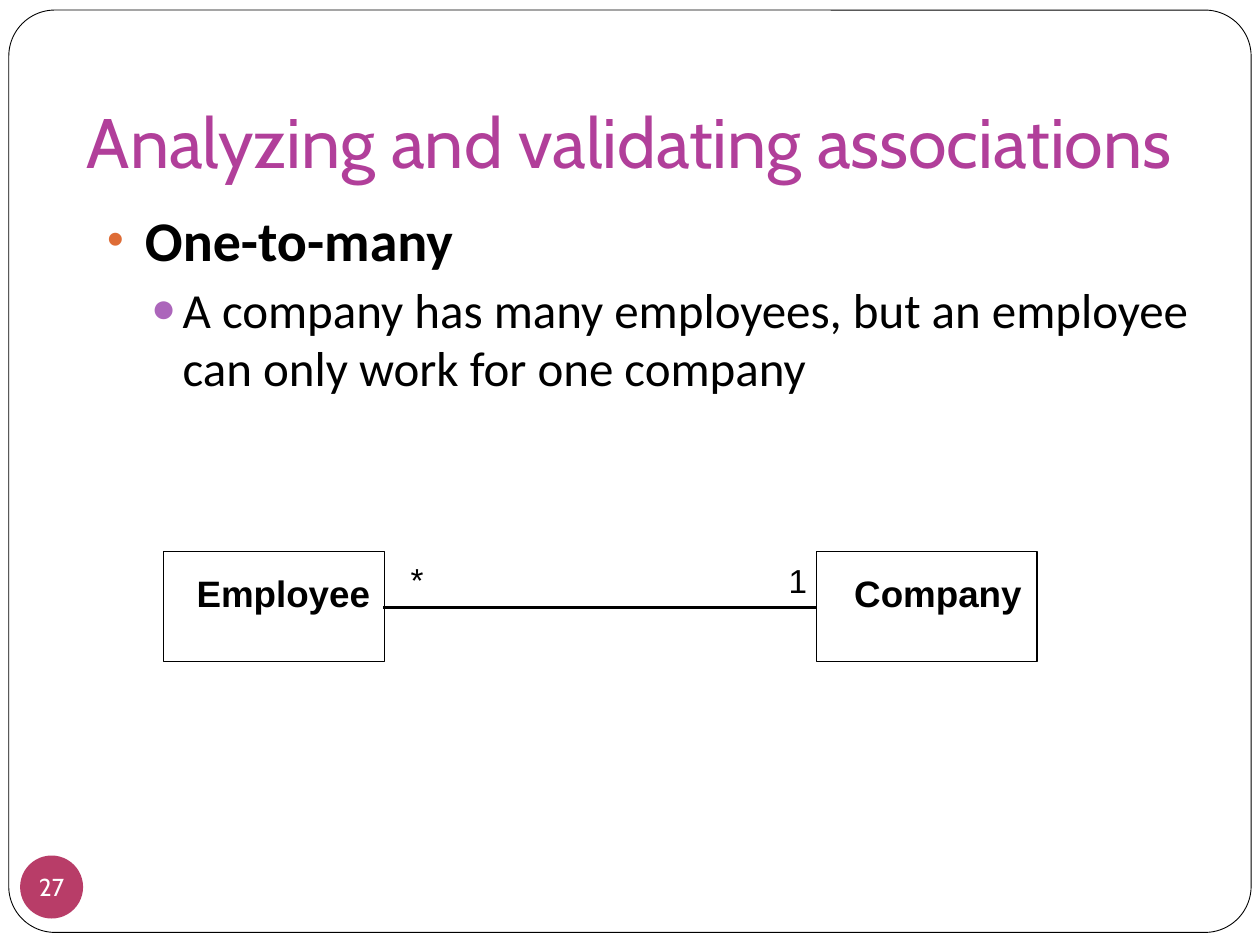
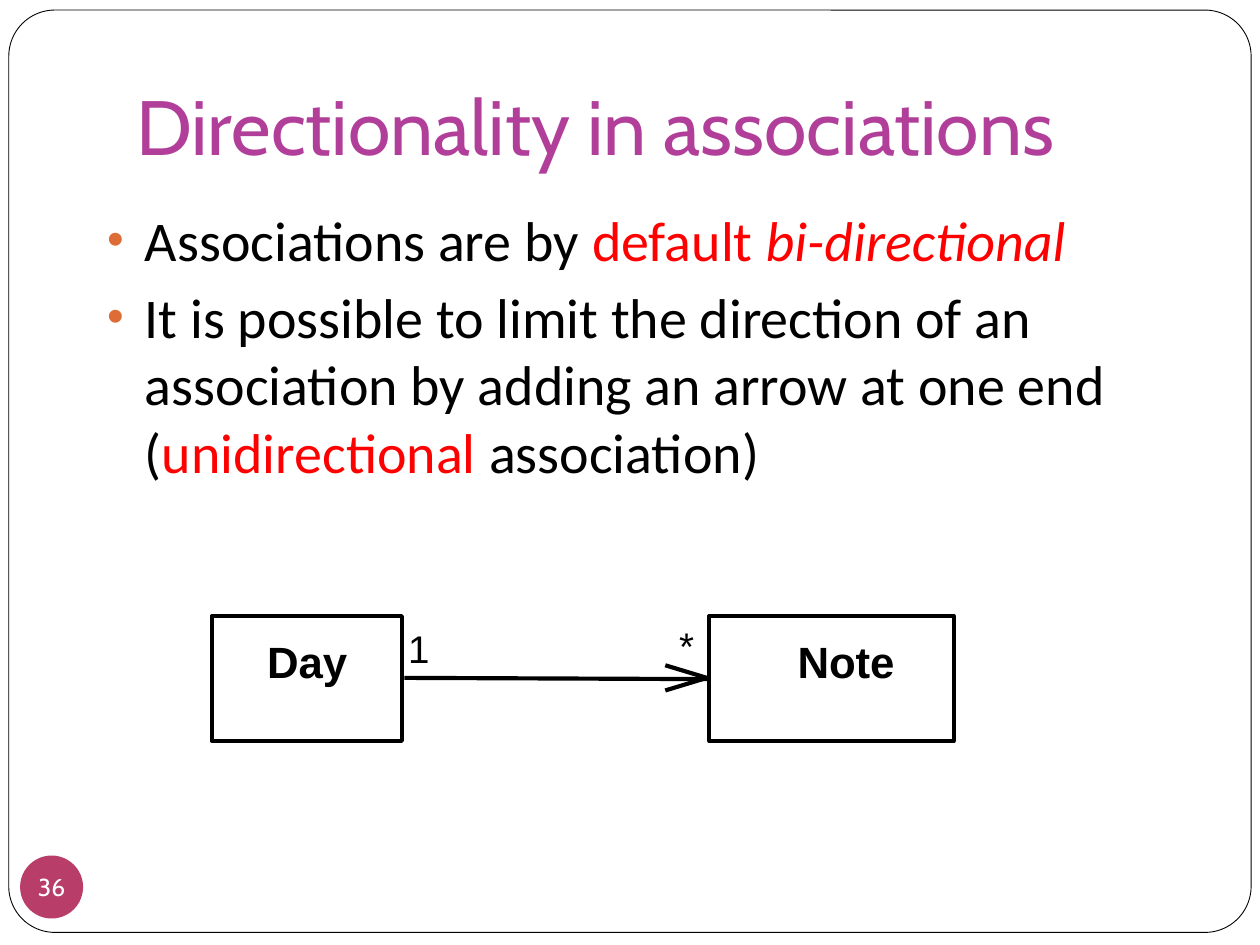
from dataclasses import dataclass
from typing import NamedTuple

from lxml import etree
from pptx import Presentation
from pptx import util as u
from pptx.dml.color import RGBColor
from pptx.enum import shapes, text
from pptx.oxml.ns import qn

PX = 9144  # one px is a hundredth of an inch

COLORS = {
    "paper": "FFFFFF",
    "ink": "000000",
    "title": "B13F9A",
    "badge": "B83D68",
    "point": "DE6C36",
    "subpoint": "AC66BB",
    "stress": "FF0000",
}
HEADING_FONT, BODY_FONT, DIAGRAM_FONT = "Cabin", "Calibri", "Arial"


class Area(NamedTuple):
    left: int
    top: int
    width: int
    height: int


class Level(NamedTuple):
    bullet: str
    color: str
    left: int
    hang: int
    size: int
    before: float


LEVELS = (
    Level("•", "point", 30, 30, 32, 5.8),
    Level("●", "subpoint", 60, 25, 28, 3.7),
)

FRAME = Area(7, 8, 986, 732)
BADGE = Area(16, 679, 50, 50)
BODY = Area(75, 158, 906, 571)


class Span(NamedTuple):
    words: str
    color: str = "ink"
    italic: bool = False


class Item(NamedTuple):
    spans: tuple[Span, ...]
    level: int = 0
    bold: bool = False


class Label(NamedTuple):
    words: str
    area: Area


class ClassBox(NamedTuple):
    outline: Area
    name: Label


class Stroke(NamedTuple):
    start: tuple[int, int]
    end: tuple[int, int]


@dataclass(frozen=True)
class Diagram:
    line_width: float
    name_size: int
    count_size: int
    boxes: tuple[ClassBox, ...]
    counts: tuple[Label, ...]
    strokes: tuple[Stroke, ...]


@dataclass(frozen=True)
class Page:
    number: int
    title: str
    title_area: Area
    title_size: int
    items: tuple[Item, ...]
    diagram: Diagram


PAGES = (
    Page(
        27, "Analyzing and validating associations", Area(59, 28, 891, 127), 40,
        (
            Item((Span("One-to-many"),), bold=True),
            Item((Span("A company has many employees, but an employee "
                       "can only work for one company"),), level=1),
        ),
        Diagram(
            0, 21, 19,
            (
                ClassBox(Area(130, 438, 175, 87), Label("Employee", Area(156, 453, 138, 35))),
                ClassBox(Area(648, 438, 175, 87), Label("Company", Area(678, 453, 133, 35))),
            ),
            (Label("*", Area(326, 444, 10, 32)), Label("1", Area(626, 445, 15, 32))),
            (Stroke((304, 482), (648, 482)),),
        ),
    ),
    Page(
        36, "Directionality in associations", Area(98, 21, 850, 125), 44,
        (
            Item((Span("Associations are by "), Span("default ", "stress"),
                  Span("bi-directional", "stress", True))),
            Item((Span("It is possible to limit the direction of an association "
                       "by adding an arrow at one end ("),
                  Span("unidirectional", "stress"), Span(" association)"))),
        ),
        Diagram(
            2.38, 25, 22,
            (
                ClassBox(Area(168, 489, 151, 99), Label("Day", Area(212, 504, 64, 42))),
                ClassBox(Area(563, 489, 194, 99), Label("Note", Area(633, 504, 77, 42))),
            ),
            (Label("1", Area(324, 496, 17, 37)), Label("*", Area(539, 494, 12, 37))),
            (
                Stroke((321, 538), (561, 539)),
                Stroke((528, 528), (561, 538)),
                Stroke((561, 538), (528, 548)),
            ),
        ),
    ),
)


def rgb(name: str) -> RGBColor:
    return RGBColor.from_string(COLORS[name])


def emu(area: Area) -> list[int]:
    return [length * PX for length in area]


def place(shape, area: Area) -> None:
    shape.left, shape.top, shape.width, shape.height = emu(area)


def set_font(font, name: str, size: int, color: str, bold: bool = False) -> None:
    font.name, font.size, font.bold = name, u.Pt(size), bold
    font.color.rgb = rgb(color)


def set_insets(frame, left: int, top: int, right: int, bottom: int) -> None:
    frame.margin_left, frame.margin_top = left * PX, top * PX
    frame.margin_right, frame.margin_bottom = right * PX, bottom * PX


def add_outline(slide, kind, area: Area, fill: str | None, line_width: float | None):
    """Add a preset shape; None means no fill or no line."""
    shape = slide.shapes.add_shape(kind, *emu(area))
    shape.shadow.inherit = False
    if fill is None:
        shape.fill.background()
    else:
        shape.fill.solid()
        shape.fill.fore_color.rgb = rgb(fill)
    if line_width is None:
        shape.line.fill.background()
    else:
        shape.line.color.rgb = rgb("ink")
        shape.line.width = u.Pt(line_width)
    return shape


def add_frame_and_badge(slide, number: int) -> None:
    frame = add_outline(slide, shapes.MSO_SHAPE.ROUNDED_RECTANGLE, FRAME, "paper", 0.5)
    frame.adjustments[0] = 0.05
    badge = add_outline(slide, shapes.MSO_SHAPE.OVAL, BADGE, "badge", None)
    words = badge.text_frame
    words.word_wrap = False
    words.vertical_anchor = text.MSO_ANCHOR.MIDDLE
    set_insets(words, 0, 0, 0, 0)
    para = words.paragraphs[0]
    para.text = str(number)
    para.alignment = text.PP_ALIGN.CENTER
    set_font(para.font, HEADING_FONT, 14, "paper")
    # Both lie behind the title and the list.
    tree = frame._element.getparent()
    for position, shape in enumerate((frame, badge), start=2):
        tree.insert(position, shape._element)


def fill_title(box, page: Page) -> None:
    place(box, page.title_area)
    words = box.text_frame
    words.auto_size = text.MSO_AUTO_SIZE.NONE
    words.vertical_anchor = text.MSO_ANCHOR.BOTTOM
    set_insets(words, 10, 5, 10, 10)
    para = words.paragraphs[0]
    para.text = page.title
    para.alignment = text.PP_ALIGN.LEFT
    set_font(para.font, HEADING_FONT, page.title_size, "title")


def set_bullet(para, level: Level) -> None:
    properties = para._p.get_or_add_pPr()
    properties.set("marL", str(level.left * PX))
    properties.set("indent", str(-level.hang * PX))
    color = etree.SubElement(properties, qn("a:buClr"))
    etree.SubElement(color, qn("a:srgbClr"), val=COLORS[level.color])
    etree.SubElement(properties, qn("a:buSzPct"), val="85000")
    etree.SubElement(properties, qn("a:buFont"), typeface=DIAGRAM_FONT)
    etree.SubElement(properties, qn("a:buChar"), char=level.bullet)


def fill_list(box, items: tuple[Item, ...]) -> None:
    place(box, BODY)
    words = box.text_frame
    words.auto_size = text.MSO_AUTO_SIZE.NONE
    for index, item in enumerate(items):
        para = words.add_paragraph() if index else words.paragraphs[0]
        level = LEVELS[item.level]
        para.level = item.level
        set_bullet(para, level)
        para.space_before = u.Pt(level.before)
        set_font(para.font, BODY_FONT, level.size, "ink", item.bold)
        for span in item.spans:
            run = para.add_run()
            run.text = span.words
            if span.color != "ink":
                run.font.color.rgb = rgb(span.color)
            if span.italic:
                run.font.italic = True


def add_label(slide, label: Label, size: int, bold: bool = False) -> None:
    box = slide.shapes.add_textbox(*emu(label.area))
    words = box.text_frame
    words.word_wrap = False
    words.auto_size = text.MSO_AUTO_SIZE.SHAPE_TO_FIT_TEXT
    set_insets(words, 0, 0, 0, 0)
    para = words.paragraphs[0]
    para.text = label.words
    set_font(para.font, DIAGRAM_FONT, size, "ink", bold)


def add_stroke(slide, stroke: Stroke, width: float) -> None:
    ends = [length * PX for length in stroke.start + stroke.end]
    line = slide.shapes.add_connector(shapes.MSO_CONNECTOR.STRAIGHT, *ends)
    line.line.color.rgb = rgb("ink")
    line.line.width = u.Pt(width)
    etree.SubElement(line._element.spPr, qn("a:effectLst"))


def add_diagram(slide, diagram: Diagram) -> None:
    for stroke in diagram.strokes:
        add_stroke(slide, stroke, diagram.line_width)
    for box in diagram.boxes:
        add_outline(slide, shapes.MSO_SHAPE.RECTANGLE, box.outline, None, diagram.line_width)
        add_label(slide, box.name, diagram.name_size, bold=True)
    for count in diagram.counts:
        add_label(slide, count, diagram.count_size)


def main() -> None:
    deck = Presentation()
    deck.slide_width, deck.slide_height = 1000 * PX, 750 * PX
    title_and_content = deck.slide_layouts[1]
    for page in PAGES:
        slide = deck.slides.add_slide(title_and_content)
        fill_title(slide.shapes.title, page)
        fill_list(slide.placeholders[1], page.items)
        add_frame_and_badge(slide, page.number)
        add_diagram(slide, page.diagram)
    deck.save("out.pptx")


if __name__ == "__main__":
    main()
